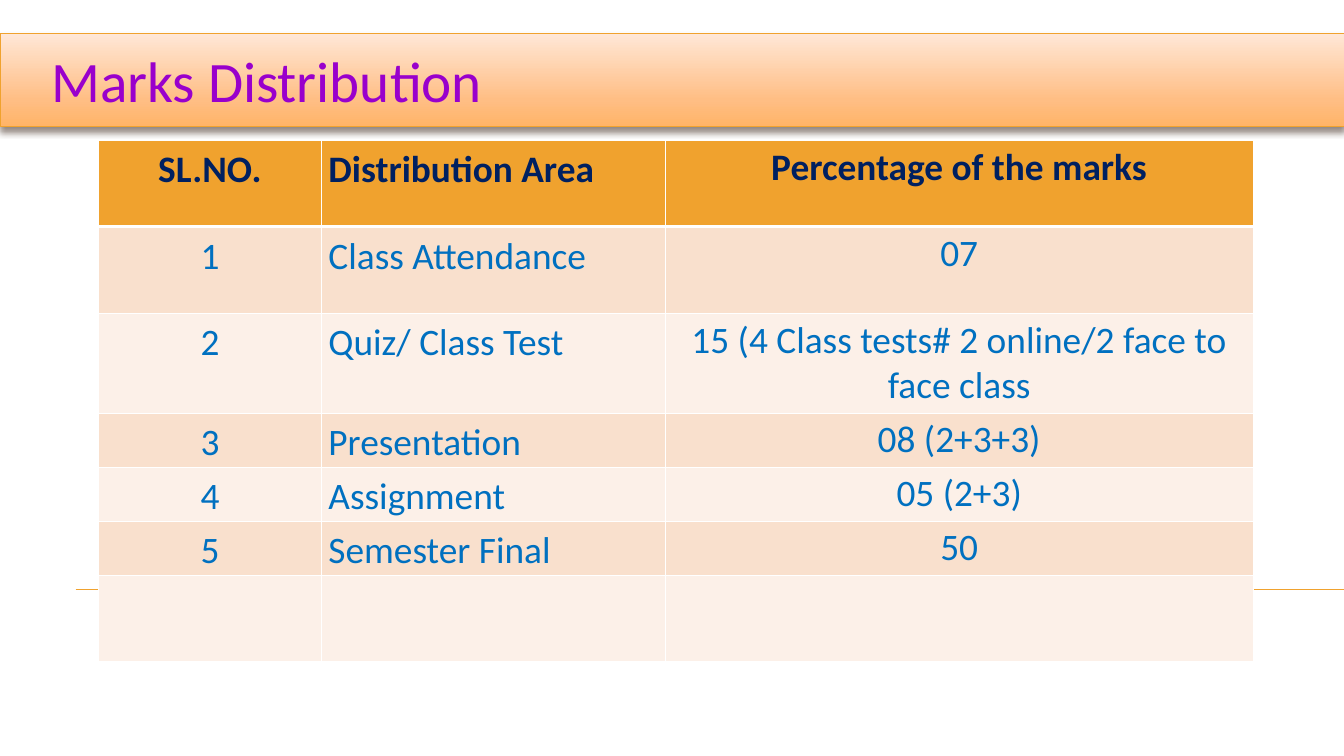
"""Build the marks distribution slide."""
from dataclasses import dataclass

from pptx import Presentation
from pptx.dml.color import RGBColor
from pptx.enum.shapes import MSO_CONNECTOR
from pptx.enum.text import MSO_ANCHOR, MSO_AUTO_SIZE, PP_ALIGN
from pptx.oxml import parse_xml
from pptx.oxml.ns import nsdecls
from pptx.slide import Slide
from pptx.util import Inches, Pt

ORANGE = "F0A22E"
WHITE = "FFFFFF"
BAND_FILLS = ("F9E0CD", "FCF0E8")
BAR_GRADIENT = ((0, "FFE7D7"), (72, "FFBE84"), (100, "FFB468"))


@dataclass(frozen=True)
class Column:
    width: float
    align: PP_ALIGN
    side_inset: float
    top_inset: float
    line_spacing: float


@dataclass(frozen=True)
class MarkRow:
    height: float
    texts: tuple[str, str, str]


COLUMNS = (
    Column(2.66, PP_ALIGN.CENTER, 0.08, 0, 1.15),
    Column(4.09, PP_ALIGN.LEFT, 0.08, 0, 1.15),
    Column(7, PP_ALIGN.CENTER, 0.1, 0.05, 1),
)
ROWS = (
    MarkRow(1.03, ("SL.NO.", "Distribution Area", "Percentage of the marks")),
    MarkRow(1.03, ("1", "Class Attendance", "07")),
    MarkRow(1.03, ("2", "Quiz/ Class Test",
                   "15 (4 Class tests# 2 online/2 face to face class")),
    MarkRow(0.62, ("3", "Presentation", "08 (2+3+3)")),
    MarkRow(0.62, ("4", "Assignment", "05 (2+3)")),
    MarkRow(0.62, ("5", "Semester Final", "50")),
    MarkRow(1.03, ("", "", "")),
)


def rgb(value: str) -> RGBColor:
    return RGBColor.from_string(value)


def add_text(paragraph, text: str, size: float, color: str, bold: bool = False) -> None:
    run = paragraph.add_run()
    run.text = text
    run.font.name = "Calibri"
    run.font.size = Pt(size)
    run.font.bold = bold
    run.font.color.rgb = rgb(color)


def add_title(slide: Slide) -> None:
    title = slide.shapes.title
    title.left, title.top = Inches(0), Inches(0.4)
    title.width, title.height = Inches(16), Inches(1.1)
    stops = "".join(
        f'<a:gs pos="{position * 1000}"><a:srgbClr val="{color}"/></a:gs>'
        for position, color in BAR_GRADIENT
    )
    properties = title._element.spPr
    properties.append(parse_xml(
        f'<a:gradFill {nsdecls("a")} rotWithShape="1"><a:gsLst>{stops}</a:gsLst>'
        '<a:lin ang="5400000" scaled="0"/></a:gradFill>'
    ))
    title.line.color.rgb = rgb(ORANGE)
    title.line.width = Pt(0.79)
    properties.append(parse_xml(
        f'<a:effectLst {nsdecls("a")}><a:outerShdw blurRad="{Pt(6)}" dist="{Pt(4)}" '
        'dir="5400000" rotWithShape="0"><a:srgbClr val="4E3B30">'
        '<a:alpha val="60000"/></a:srgbClr></a:outerShdw></a:effectLst>'
    ))
    frame = title.text_frame
    frame.auto_size = MSO_AUTO_SIZE.NONE
    frame.word_wrap = True
    frame.vertical_anchor = MSO_ANCHOR.MIDDLE
    frame.margin_left, frame.margin_right = Inches(0.61), Inches(0.14)
    frame.margin_top = frame.margin_bottom = Inches(0.07)
    heading = frame.paragraphs[0]
    heading.alignment = PP_ALIGN.LEFT
    add_text(heading, "Marks Distribution", 49, "9900CC")


def add_rule(slide: Slide) -> None:
    rule = slide.shapes.add_connector(
        MSO_CONNECTOR.STRAIGHT, Inches(0.9), Inches(7.02), Inches(16), Inches(7.02)
    )
    rule.line.color.rgb = rgb(ORANGE)
    rule.line.width = Pt(0.75)
    rule._element.spPr.append(parse_xml(f'<a:effectLst {nsdecls("a")}/>'))


def set_borders(cell, row_index: int) -> None:
    widths = {
        "lnL": 1,
        "lnR": 1,
        "lnT": 3 if row_index == 1 else 1,
        "lnB": 3 if row_index == 0 else 1,
    }
    properties = cell._tc.get_or_add_tcPr()
    for side, width in widths.items():
        properties.append(parse_xml(
            f'<a:{side} {nsdecls("a")} w="{Pt(width)}"><a:solidFill>'
            f'<a:srgbClr val="{WHITE}"/></a:solidFill></a:{side}>'
        ))


def fill_cell(cell, column: Column, row_index: int, text: str) -> None:
    is_header = row_index == 0
    set_borders(cell, row_index)
    cell.fill.solid()
    cell.fill.fore_color.rgb = rgb(ORANGE if is_header else BAND_FILLS[(row_index - 1) % 2])
    cell.margin_left = cell.margin_right = Inches(column.side_inset)
    cell.margin_top = cell.margin_bottom = Inches(column.top_inset)
    if text:
        paragraph = cell.text_frame.paragraphs[0]
        paragraph.alignment = column.align
        paragraph.line_spacing = column.line_spacing
        add_text(paragraph, text, 32, "002060" if is_header else "0070C0", is_header)


def add_marks_table(slide: Slide) -> None:
    marks = slide.shapes.add_table(
        len(ROWS), len(COLUMNS), Inches(1.17), Inches(1.67),
        Inches(sum(column.width for column in COLUMNS)),
        Inches(sum(row.height for row in ROWS)),
    ).table
    for column_index, column in enumerate(COLUMNS):
        marks.columns[column_index].width = Inches(column.width)
    for row_index, row in enumerate(ROWS):
        marks.rows[row_index].height = Inches(row.height)
        for column_index, (column, text) in enumerate(zip(COLUMNS, row.texts)):
            fill_cell(marks.cell(row_index, column_index), column, row_index, text)


def main() -> None:
    presentation = Presentation()
    presentation.slide_width, presentation.slide_height = Inches(16), Inches(9)
    slide = presentation.slides.add_slide(presentation.slide_layouts[5])
    add_title(slide)
    add_rule(slide)
    add_marks_table(slide)
    presentation.save("out.pptx")


if __name__ == "__main__":
    main()
